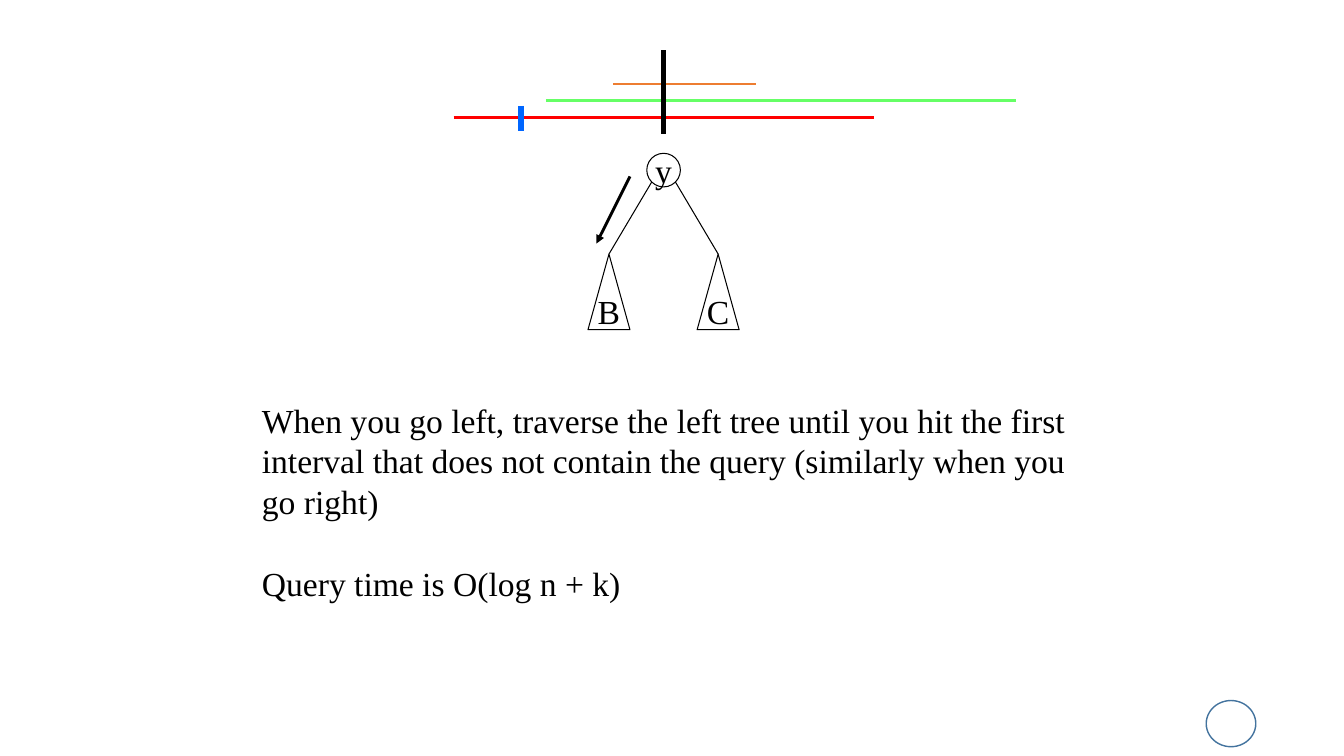
from lxml import etree
from pptx import Presentation, util as u
from pptx.dml.color import RGBColor
from pptx.enum import shapes, text
from pptx.oxml.ns import qn

FONT = "Times New Roman"
COLUMNS, ROWS = 160, 90
UNIT = u.Inches(7.5) / ROWS
BLACK = "000000"


def grid(*values):
    """Convert grid units to slide lengths."""
    return [u.Emu(round(value * UNIT)) for value in values]


def colour(value):
    """Turn a hex string into a colour."""
    return RGBColor.from_string(value)


def write(frame, words, align):
    """Set the words of a text frame in the slide's font."""
    frame.text = words
    para = frame.paragraphs[0]
    para.alignment = align
    font = para.runs[0].font
    font.name, font.size = FONT, u.Pt(24)
    font.color.rgb = colour(BLACK)


def add_outline(page, kind, box, label="", line=BLACK, width=0.75):
    """Add an unfilled shape with an optional centred label."""
    shape = page.shapes.add_shape(kind, *grid(*box))
    shape.shadow.inherit = False
    shape.fill.background()
    shape.line.color.rgb = colour(line)
    shape.line.width = u.Pt(width)
    if label:
        frame = shape.text_frame
        frame.word_wrap = False
        frame.vertical_anchor = text.MSO_ANCHOR.MIDDLE
        write(frame, label, text.PP_ALIGN.CENTER)
    return shape


def add_line(page, start, end, line=BLACK, width=0.75, arrow=False):
    """Add a straight line, with an arrowhead at its end if asked."""
    connector = page.shapes.add_connector(
        shapes.MSO_CONNECTOR.STRAIGHT, *grid(*start, *end))
    connector.line.color.rgb = colour(line)
    connector.line.width = u.Pt(width)
    if arrow:
        outline = connector.line._get_or_add_ln()
        etree.SubElement(outline, qn("a:tailEnd"), type="triangle")
    etree.SubElement(connector._element.spPr, qn("a:effectLst"))
    return connector


def draw_tree(page, box):
    """Draw the root, its two subtrees and the arrow to the left."""
    left, top, width, height = box
    middle = left + width / 2
    leaf_width, leaf_height, root = 5, 9, 4
    add_outline(page, shapes.MSO_SHAPE.OVAL,
                (middle - root / 2, top, root, root), "y")
    leaf_top = top + height - leaf_height
    for label, side in (("B", -1), ("C", 1)):
        apex = middle + side * (width - leaf_width) / 2
        leaf = add_outline(page, shapes.MSO_SHAPE.ISOSCELES_TRIANGLE,
                           (apex - leaf_width / 2, leaf_top, leaf_width, leaf_height), label)
        edge = add_line(page, (middle + side * 1.4, top + 3.4), (apex, leaf_top))
        edge.end_connect(leaf, 0)
    add_line(page, (left + 5, top + 2.75), (left + 1, top + 10.75), width=2, arrow=True)


def draw_intervals(page, box):
    """Draw the intervals, the dividing line and the query mark."""
    left, top, width, height = box
    intervals = (("FF0000", 0, 50), ("66FF66", 11, width), ("ED7D31", 19, 36))
    for index, (line, start, end) in enumerate(intervals):
        level = top + 8 - 2 * index
        add_line(page, (left + start, level), (left + end, level), line, 2)
    add_line(page, (left + 25, top), (left + 25, top + height), width=3)
    add_line(page, (left + 8, top + 6.6), (left + 8, top + 9.6), "0066FF", 4)


def add_note(page, box, words):
    """Add a wrapped paragraph of running text."""
    frame = page.shapes.add_textbox(*grid(*box)).text_frame
    frame.word_wrap = True
    write(frame, words, text.PP_ALIGN.LEFT)


def build_query_slide(deck):
    """Build the interval tree query slide."""
    page = deck.slides.add_slide(deck.slide_layouts[6])
    add_outline(page, shapes.MSO_SHAPE.OVAL, (143.6, 83.4, 5.9, 5.5), line="43739E", width=1)
    draw_tree(page, (70, 18.25, 18, 21))
    draw_intervals(page, (54, 6, 67, 10))
    add_note(page, (30, 47, 101, 15.7),
             "When you go left, traverse the left tree until you hit the first "
             "interval that does not contain the query (similarly when you go right)")
    add_note(page, (30, 66.4, 101, 6), "Query time is O(log n + k)")


def main():
    """Create and save the deck."""
    deck = Presentation()
    deck.slide_width, deck.slide_height = grid(COLUMNS, ROWS)
    build_query_slide(deck)
    deck.save("out.pptx")


if __name__ == "__main__":
    main()
